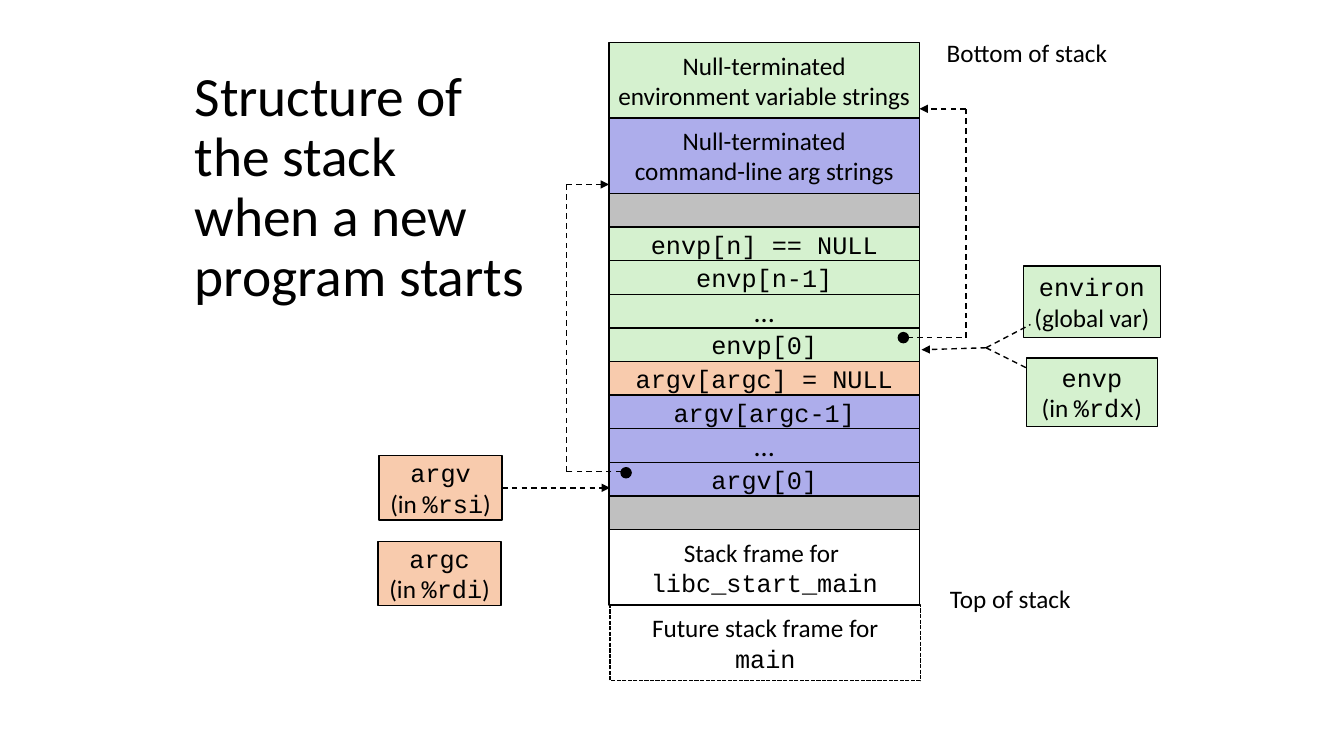
from dataclasses import dataclass

from lxml import etree
from pptx import Presentation
from pptx.dml.color import RGBColor
from pptx.enum.dml import MSO_LINE_DASH_STYLE as DASH
from pptx.enum.shapes import MSO_CONNECTOR as CONNECTOR, MSO_SHAPE as SHAPE
from pptx.enum.text import MSO_ANCHOR as ANCHOR, MSO_AUTO_SIZE as AUTOSIZE, PP_ALIGN as ALIGN
from pptx.oxml.ns import qn
from pptx.util import Inches, Pt


@dataclass(frozen=True)
class Theme:
    ink: RGBColor = RGBColor(0, 0, 0)
    green: RGBColor = RGBColor(0xD5, 0xF1, 0xCF)
    violet: RGBColor = RGBColor(0xAD, 0xAD, 0xEB)
    orange: RGBColor = RGBColor(0xF8, 0xCB, 0xAD)
    gray: RGBColor = RGBColor(0xC0, 0xC0, 0xC0)
    sans: str = "Calibri"
    mono: str = "Courier New"
    title_size: float = 39.6
    body_size: float = 18
    dots_size: float = 20
    line_width: float = 1


THEME = Theme()
STACK_LEFT, STACK_TOP, STACK_WIDTH = 6.04, 0.42, 3.08
TALL, SHORT = 0.75, 1 / 3


def sans(text):
    return text, THEME.sans


def mono(text):
    return text, THEME.mono


def write(frame, lines, size=THEME.body_size):
    """Fill a frame with centred lines, each a list of (text, font) runs."""
    frame.word_wrap = False
    frame.vertical_anchor = ANCHOR.MIDDLE
    for index, line in enumerate(lines):
        paragraph = frame.add_paragraph() if index else frame.paragraphs[0]
        paragraph.alignment = ALIGN.CENTER
        paragraph.font.size = Pt(size)
        paragraph.font.color.rgb = THEME.ink
        fonts = {font for _, font in line}
        if len(fonts) == 1:
            paragraph.font.name = line[0][1]
        for text, font in line:
            run = paragraph.add_run()
            run.text = text
            if len(fonts) > 1:
                run.font.name = font


def add_title(slide, text):
    title = slide.shapes.title
    title.left, title.top = Inches(1.83), Inches(0.83)
    title.width, title.height = Inches(3.57), Inches(2.08)
    frame = title.text_frame
    frame.text = text
    frame.word_wrap = True
    frame.auto_size = AUTOSIZE.NONE
    frame.vertical_anchor = ANCHOR.MIDDLE
    paragraph = frame.paragraphs[0]
    paragraph.alignment = ALIGN.LEFT
    paragraph.line_spacing = 0.9
    paragraph.font.name = THEME.sans
    paragraph.font.size = Pt(THEME.title_size)
    paragraph.font.color.rgb = THEME.ink


def add_box(slide, place, fill, lines=(), size=THEME.body_size, dash=None, kind=SHAPE.RECTANGLE):
    box = slide.shapes.add_shape(kind, *map(Inches, place))
    box.shadow.inherit = False
    if fill is None:
        box.fill.background()
    else:
        box.fill.solid()
        box.fill.fore_color.rgb = fill
    box.line.color.rgb = THEME.ink
    box.line.width = Pt(THEME.line_width)
    if dash:
        box.line.dash_style = dash
    write(box.text_frame, lines, size)
    return box


def add_dot(slide, left, top):
    add_box(slide, (left, top, 0.1, 0.1), THEME.ink, kind=SHAPE.OVAL)


def add_label(slide, place, text):
    label = slide.shapes.add_textbox(*map(Inches, place))
    write(label.text_frame, [[sans(text)]])


def add_dashed(slide, start, end, arrow=False):
    wire = slide.shapes.add_connector(CONNECTOR.STRAIGHT, *map(Inches, start + end))
    wire.line.color.rgb = THEME.ink
    wire.line.width = Pt(THEME.line_width)
    wire.line.dash_style = DASH.DASH
    if arrow:
        etree.SubElement(wire.line._get_or_add_ln(), qn("a:tailEnd"), type="triangle")
    etree.SubElement(wire._element.spPr, qn("a:effectLst"))
    return wire


def add_route(slide, *points):
    """Chain dashed lines through the points, with an arrowhead at the last."""
    for index, (start, end) in enumerate(zip(points, points[1:]), start=2):
        add_dashed(slide, start, end, arrow=index == len(points))


def add_stack(slide):
    body, dots = THEME.body_size, THEME.dots_size
    rows = [
        (TALL, THEME.green, [[sans("Null-terminated")], [sans("environment variable strings")]], body),
        (TALL, THEME.violet, [[sans("Null-terminated")], [sans("command-line arg strings")]], body),
        (SHORT, THEME.gray, [], body),
        (SHORT, THEME.green, [[mono("envp[n] == NULL")]], body),
        (SHORT, THEME.green, [[mono("envp[n-1]")]], body),
        (SHORT, THEME.green, [[sans("...")]], dots),
        (SHORT, THEME.green, [[mono("envp[0]")]], body),
        (SHORT, THEME.orange, [[mono("argv[argc] = NULL")]], body),
        (SHORT, THEME.violet, [[mono("argv[argc-1]")]], body),
        (SHORT, THEME.violet, [[sans("...")]], dots),
        (SHORT, THEME.violet, [[mono("argv[0]")]], body),
        (SHORT, THEME.gray, [], body),
        (TALL, None, [[sans("Stack frame for ")], [mono("libc_start_main")]], body),
    ]
    top = STACK_TOP
    for height, fill, lines, size in rows:
        add_box(slide, (STACK_LEFT, top, STACK_WIDTH, height), fill, lines, size)
        top += height
    future_lines = [[sans("Future stack frame for")], [mono("main")]]
    add_box(slide, (STACK_LEFT + 0.01, top, STACK_WIDTH, TALL), None, future_lines,
            dash=DASH.SQUARE_DOT)


def add_variable(slide, place, fill, name, register):
    lines = [[mono(name)], [sans("(in "), mono(register), sans(")")]]
    return add_box(slide, place, fill, lines)


def main():
    prs = Presentation()
    prs.slide_width, prs.slide_height = Inches(13.33), Inches(7.5)
    slide = prs.slides.add_slide(prs.slide_layouts[5])
    add_title(slide, "Structure of \vthe stack when a new program starts")

    add_stack(slide)
    add_label(slide, (9.27, 0.32, 1.83, 0.4), "Bottom of stack")
    add_label(slide, (9.3, 5.74, 1.44, 0.4), "Top of stack")

    # Pointers from the array entries to their strings
    add_route(slide, (6.16, 4.68), (5.62, 4.68), (5.62, 1.83), (STACK_LEFT, 1.83))
    add_route(slide, (9, 3.35), (9.58, 3.35), (9.58, 1.08), (9.12, 1.08))
    add_dot(slide, 6.16, 4.64)
    add_dot(slide, 8.91, 3.3)

    # Argument variables on the left
    argv = add_variable(slide, (3.76, 4.52, 1.22, 0.64), THEME.orange, "argv", "%rsi")
    add_variable(slide, (3.75, 5.37, 1.22, 0.64), THEME.orange, "argc", "%rdi")
    argv_arrow = add_dashed(slide, (4.98, 4.84), (6.05, 4.84), arrow=True)
    argv_arrow.begin_connect(argv, 3)

    # Environment variables on the right, joining in one arrow
    junction = (9.78, 3.45)
    add_box(slide, (10.15, 2.64, 1.36, 0.71), THEME.green,
            [[mono("environ")], [sans("(global var)")]])
    add_dashed(slide, junction, (10.2, 3.66))
    add_variable(slide, (10.18, 3.55, 1.3, 0.68), THEME.green, "envp", "%rdx")
    add_dashed(slide, junction, (10.22, 3.22))
    add_dashed(slide, junction, (9.14, 3.47), arrow=True)

    prs.save("out.pptx")


if __name__ == "__main__":
    main()
